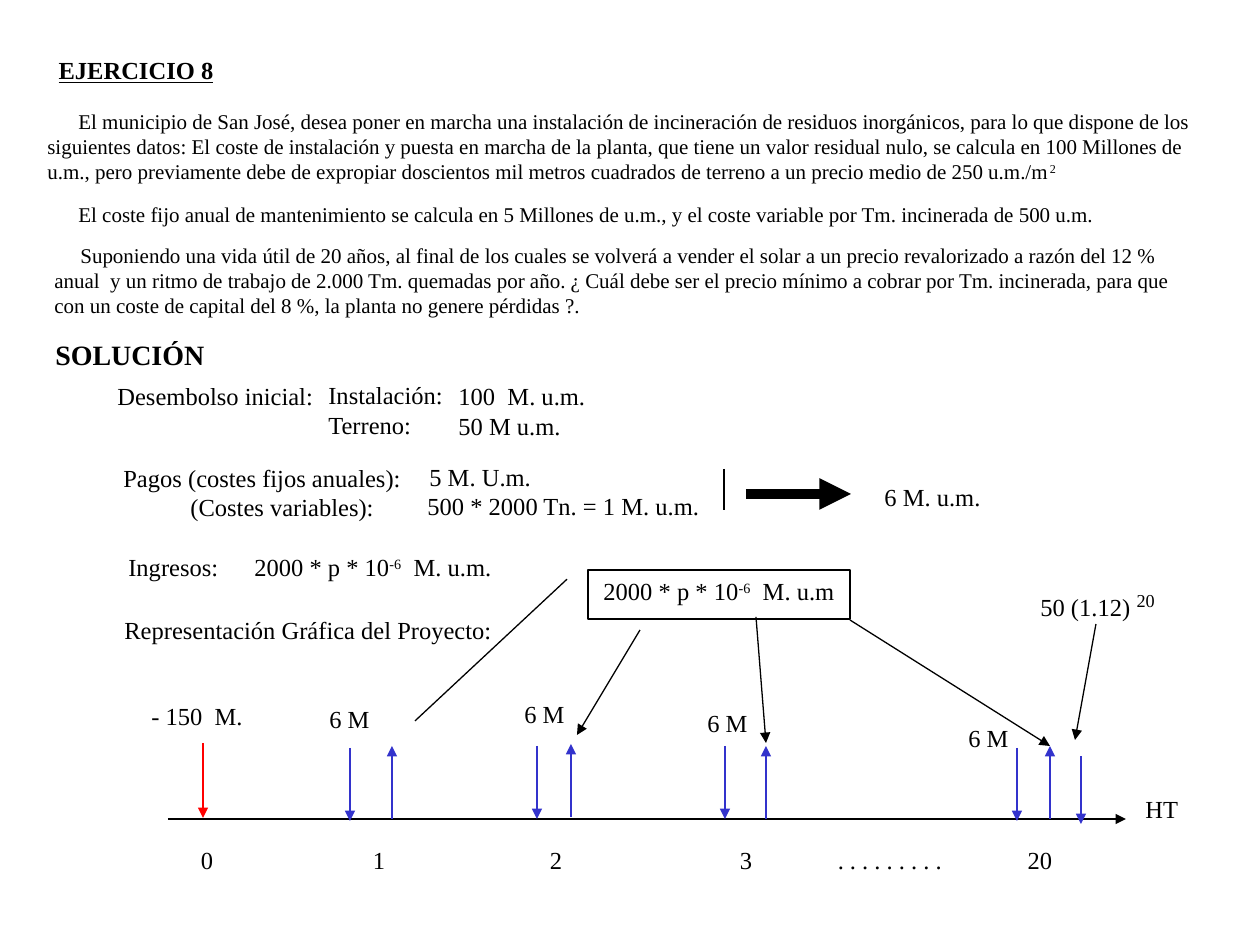
from lxml.etree import SubElement
from pptx import Presentation
from pptx.dml.color import RGBColor
from pptx.enum.shapes import MSO_CONNECTOR as Link, MSO_SHAPE as Preset
from pptx.enum.text import MSO_ANCHOR as Anchor, MSO_AUTO_SIZE as Fit, PP_ALIGN as Align
from pptx.oxml.ns import qn
from pptx.util import Pt

PX = 914400 / 126
BLACK, RED, BLUE = "000000", "FF0000", "3333CC"
color = RGBColor.from_string


def write(box, lines, size=14, bold=False, indent=0, wrap=False, align=Align.LEFT):
    frame = box.text_frame
    frame.auto_size = Fit.NONE
    frame.word_wrap = wrap
    frame.vertical_anchor = Anchor.TOP
    for index, line in enumerate(lines):
        para = frame.add_paragraph() if index else frame.paragraphs[0]
        para.alignment = align
        para.font.name = "Times New Roman"
        para.font.size = Pt(size)
        para.font.bold = bold
        para.font.color.rgb = color(BLACK)
        if indent and index == 0:
            para._p.get_or_add_pPr().set("indent", str(round(indent * PX)))
        for part, text in enumerate(line.split("^")):
            span = para.add_run()
            span.text = text
            if part % 2:
                span._r.get_or_add_rPr().set("baseline", "30000")
    return frame


def connect(start_x, start_y, end_x, end_y, hue=BLACK, width=0.75, arrow=True):
    ends = [round(value * PX) for value in (start_x, start_y, end_x, end_y)]
    line = page.shapes.add_connector(Link.STRAIGHT, *ends)
    line.line.color.rgb = color(hue)
    line.line.width = Pt(width)
    if arrow:
        SubElement(line.line._get_or_add_ln(), qn("a:tailEnd"), type="triangle")
    SubElement(line._element.spPr, qn("a:effectLst"))


deck = Presentation()
deck.slide_width = round(1260 * PX)
deck.slide_height = round(945 * PX)
page = deck.slides.add_slide(deck.slide_layouts[5])

title = page.shapes.title
title.left, title.top, title.width, title.height = [round(v * PX) for v in (46, 49, 400, 43)]
write(title, ["EJERCICIO 8"], bold=True, wrap=True).paragraphs[0].font.underline = True

statements = [
    (35, 102, 1187, 88, 31, True, [
        "El municipio de San José, desea poner en marcha una instalación de incineración de residuos "
        "inorgánicos, para lo que dispone de los siguientes datos: El coste de instalación y puesta en "
        "marcha de la planta, que tiene un valor residual nulo, se calcula en 100 Millones de u.m., pero "
        "previamente debe de expropiar doscientos mil metros cuadrados de terreno a un precio medio de "
        "250 u.m./m^2"]),
    (35, 195, 1074, 38, 31, False, [
        "El coste fijo anual de mantenimiento se calcula en 5 Millones de u.m., y el coste variable por "
        "Tm. incinerada de 500 u.m."]),
    (42, 236, 1147, 88, 26, False, [
        "Suponiendo una vida útil de 20 años, al final de los cuales se volverá a vender el solar a un "
        "precio revalorizado a razón del 12 %",
        "anual  y un ritmo de trabajo de 2.000 Tm. quemadas por año. ¿ Cuál debe ser el precio mínimo a "
        "cobrar por Tm. incinerada, para que",
        "con un coste de capital del 8 %, la planta no genere pérdidas ?."]),
]
for left, top, width, height, indent, wrap, lines in statements:
    box = page.shapes.add_textbox(*[round(v * PX) for v in (left, top, width, height)])
    write(box, lines, 12, indent=indent, wrap=wrap)

heading = page.shapes.add_textbox(*[round(v * PX) for v in (43, 331, 174, 47)])
write(heading, ["SOLUCIÓN"], 16, bold=True)

labels = [
    (105, 375, 221, ["Desembolso inicial:"]),
    (316, 374, 140, ["Instalación:", "Terreno:"]),
    (446, 375, 152, ["100  M. u.m.", "50 M u.m."]),
    (111, 457, 302, ["Pagos (costes fijos anuales):"]),
    (178, 486, 208, ["(Costes variables):"]),
    (417, 456, 126, ["5 M. U.m."]),
    (415, 485, 297, ["500 * 2000 Tn. = 1 M. u.m."]),
    (872, 476, 121, ["6 M. u.m."]),
    (116, 546, 115, ["Ingresos:"]),
    (242, 546, 262, ["2000 * p * 10^-6^  M. u.m."]),
    (112, 609, 393, ["Representación Gráfica del Proyecto:"]),
    (139, 695, 115, ["- 150  M."]),
    (317, 698, 66, ["6 M"]),
    (512, 693, 66, ["6 M"]),
    (695, 702, 66, ["6 M"]),
    (956, 717, 66, ["6 M"]),
    (1133, 788, 58, ["HT"]),
]
for left, top, width, lines in labels:
    box = page.shapes.add_textbox(*[round(v * PX) for v in (left, top, width, 14 + 29 * len(lines))])
    write(box, lines)

resale = page.shapes.add_textbox(*[round(v * PX) for v in (1028, 579, 140, 50)])
write(resale, ["50 (1.12) ^20"]).paragraphs[0].runs[1].font.size = Pt(18)

callout = page.shapes.add_shape(Preset.LINE_CALLOUT_1, *[round(v * PX) for v in (588, 570, 262, 49)])
callout.shadow.inherit = False
callout.fill.background()
callout.line.color.rgb = color(BLACK)
callout.line.width = Pt(0.75)
for index, value in enumerate((0.19, -0.08, 3.08, -0.66)):
    callout.adjustments[index] = value
write(callout, ["2000 * p * 10^-6^  M. u.m"], align=Align.CENTER)

connect(724, 469, 724, 510, arrow=False)
connect(746, 494, 851, 494, width=6)
for pointer in [(640, 630, 577, 735), (756, 617, 766, 743), (850, 620, 1050, 746), (1096, 624, 1075, 740)]:
    connect(*pointer)

connect(168, 819, 1126, 819)
connect(203, 743, 203, 818, RED, 1)
for x, top in [(350, 748), (537, 746), (725, 746), (1017, 748)]:
    connect(x, top, x, top + 73, BLUE)
for x, bottom in [(392, 819), (571, 817), (766, 819), (1050, 819)]:
    connect(x, bottom, x, bottom - 73, BLUE)
connect(1081, 756, 1081, 824, BLUE)

for center, text in [(207, "0"), (379, "1"), (556, "2"), (746, "3"), (890, ". . . . . . . . ."), (1040, "20")]:
    box = page.shapes.add_textbox(*[round(v * PX) for v in (center - 70, 839, 140, 43)])
    write(box, [text], align=Align.CENTER)

deck.save("out.pptx")
